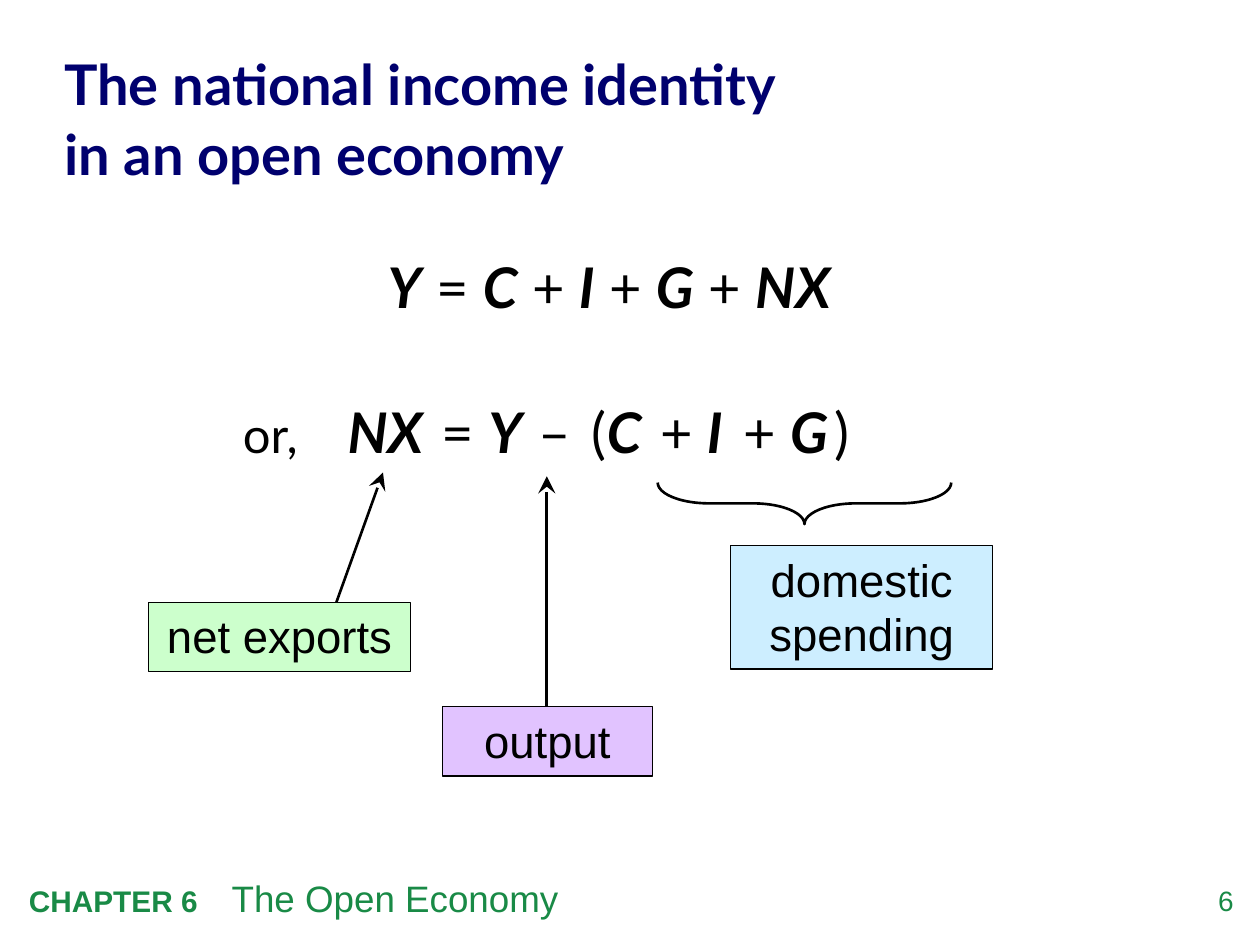
from lxml.etree import SubElement
from pptx import Presentation
from pptx.dml.color import RGBColor
from pptx.enum.shapes import MSO_CONNECTOR, MSO_SHAPE
from pptx.enum.text import MSO_ANCHOR, PP_ALIGN
from pptx.oxml.ns import qn
from pptx.util import Inches, Pt

NAVY = RGBColor(0x00, 0x00, 0x6E)
BLACK = RGBColor(0x00, 0x00, 0x00)
GREEN = RGBColor(0x19, 0x8A, 0x46)
PALE_GREEN = RGBColor(0xCC, 0xFF, 0xCC)
PALE_BLUE = RGBColor(0xCD, 0xEE, 0xFF)
PALE_PURPLE = RGBColor(0xE1, 0xC3, 0xFF)


def add_run(p, text, size, font="Lato", color=BLACK, bold=False, italic=False):
    r = p.add_run()
    r.text = text
    r.font.size, r.font.name = Pt(size), font
    r.font.bold, r.font.italic = bold, italic
    r.font.color.rgb = color


def add_tab_stop(p, position):
    tabs = SubElement(p._p.get_or_add_pPr(), qn("a:tabLst"))
    SubElement(tabs, qn("a:tab"), pos=str(position), algn="l")


prs = Presentation()
prs.slide_width, prs.slide_height = Inches(10), Inches(7.5)
s = prs.slides.add_slide(prs.slide_layouts[1])

# Footer
sp = s.shapes.add_textbox(Inches(9.24), Inches(7.01), Inches(0.55), Inches(0.32))
tf = sp.text_frame
tf.margin_left = tf.margin_right = tf.margin_top = tf.margin_bottom = 0
p = tf.paragraphs[0]
p.alignment = PP_ALIGN.RIGHT
add_run(p, "6", 16, "Arial", GREEN)

sp = s.shapes.add_textbox(Inches(0.13), Inches(6.9), Inches(8.18), Inches(0.45))
sp.text_frame.word_wrap = True
p = sp.text_frame.paragraphs[0]
add_tab_stop(p, Inches(1.61))
add_run(p, "CHAPTER 6\t", 17, "Arial", GREEN, bold=True)
add_run(p, "The Open Economy", 21, "Arial", GREEN)

# Title
title = s.shapes.title
title.left, title.top = Inches(0.51), Inches(0.41)
title.width, title.height = Inches(9.02), Inches(1.03)
tf = title.text_frame
tf.margin_left = tf.margin_right = tf.margin_top = tf.margin_bottom = 0
tf.vertical_anchor = MSO_ANCHOR.MIDDLE
tf.text = "The national income identity \vin an open economy"
p = tf.paragraphs[0]
p.alignment, p.line_spacing = PP_ALIGN.LEFT, 1.05
for r in p.runs:
    r.font.size, r.font.name, r.font.bold = Pt(32), "Lato", True
    r.font.color.rgb = NAVY

# Identity: variables are bold italic, operators plain
body = s.placeholders[1]
body.left, body.top = Inches(1.84), Inches(1.81)
body.width, body.height = Inches(5.99), Inches(0.89)
body.text_frame.vertical_anchor = MSO_ANCHOR.MIDDLE
p = body.text_frame.paragraphs[0]
p.alignment, p.line_spacing = PP_ALIGN.CENTER, 1.05
pPr = p._p.get_or_add_pPr()
pPr.set("marL", str(Inches(0.38)))
pPr.set("indent", str(-Inches(0.38)))
SubElement(pPr, qn("a:buNone"))
for text in ("Y", " = ", "C", " + ", "I", " + ", "G", " + ", "NX"):
    add_run(p, text, 32, bold=text.isalpha(), italic=text.isalpha())

# Rearranged identity, with narrow spaces set at 16 pt
sp = s.shapes.add_textbox(Inches(1.83), Inches(3.17), Inches(6.42), Inches(0.67))
sp.text_frame.word_wrap = True
p = sp.text_frame.paragraphs[0]
p.line_spacing = 0.9
add_tab_stop(p, Inches(0.83))
add_run(p, "or,\t", 28)
for text in ("NX ", " ", "= ", "Y ", " ", "– ", " ", "(", "C ", " ", "+ ",
             "I", " ", " + ", "G", " ", ")"):
    strong = text == " " or text.strip().isalpha()
    add_run(p, text, 16 if text == " " else 32, bold=strong, italic=strong)

# Labels
for text, left, top, width, height, color in (
    ("net exports", 1.18, 4.78, 2.08, 0.55, PALE_GREEN),
    ("domestic spending", 5.8, 4.33, 2.08, 0.98, PALE_BLUE),
    ("output", 3.51, 5.61, 1.67, 0.55, PALE_PURPLE),
):
    sp = s.shapes.add_shape(MSO_SHAPE.RECTANGLE, Inches(left), Inches(top),
                            Inches(width), Inches(height))
    sp.shadow.inherit = False
    sp.fill.solid()
    sp.fill.fore_color.rgb = color
    sp.line.color.rgb, sp.line.width = BLACK, Pt(0.75)
    tf = sp.text_frame
    tf.word_wrap, tf.vertical_anchor = True, MSO_ANCHOR.TOP
    p = tf.paragraphs[0]
    p.alignment = PP_ALIGN.CENTER
    add_run(p, text, 26, "Arial")

# Arrows from the labels to their terms
for x1, y1, x2, y2 in ((2.67, 4.78, 3.04, 3.75), (4.34, 5.61, 4.34, 3.78)):
    arrow = s.shapes.add_connector(MSO_CONNECTOR.STRAIGHT, Inches(x1), Inches(y1),
                                   Inches(x2), Inches(y2))
    arrow.line.color.rgb, arrow.line.width = BLACK, Pt(1.5)
    SubElement(arrow.line._get_or_add_ln(), qn("a:tailEnd"), type="stealth",
               w="lg", len="lg")
    SubElement(arrow._element.spPr, qn("a:effectLst"))

# Brace under domestic spending
brace = s.shapes.add_shape(MSO_SHAPE.LEFT_BRACE, Inches(6.22), Inches(2.83),
                           Inches(0.33), Inches(2.33))
brace.rotation = 270
brace.adjustments[0], brace.adjustments[1] = 1.24, 0.5
brace.shadow.inherit = False
brace.fill.background()
brace.line.color.rgb, brace.line.width = BLACK, Pt(1.5)

prs.save("out.pptx")
